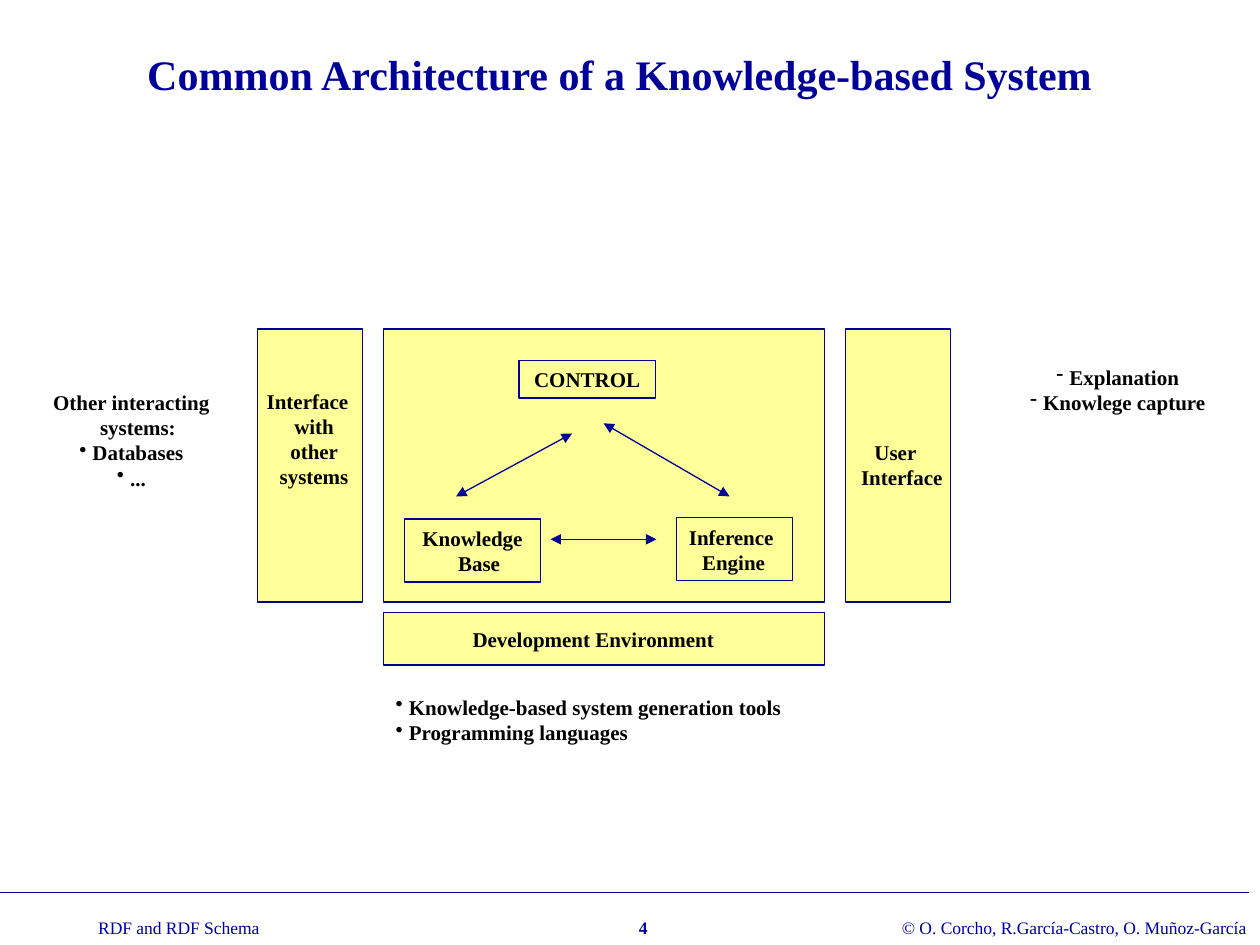
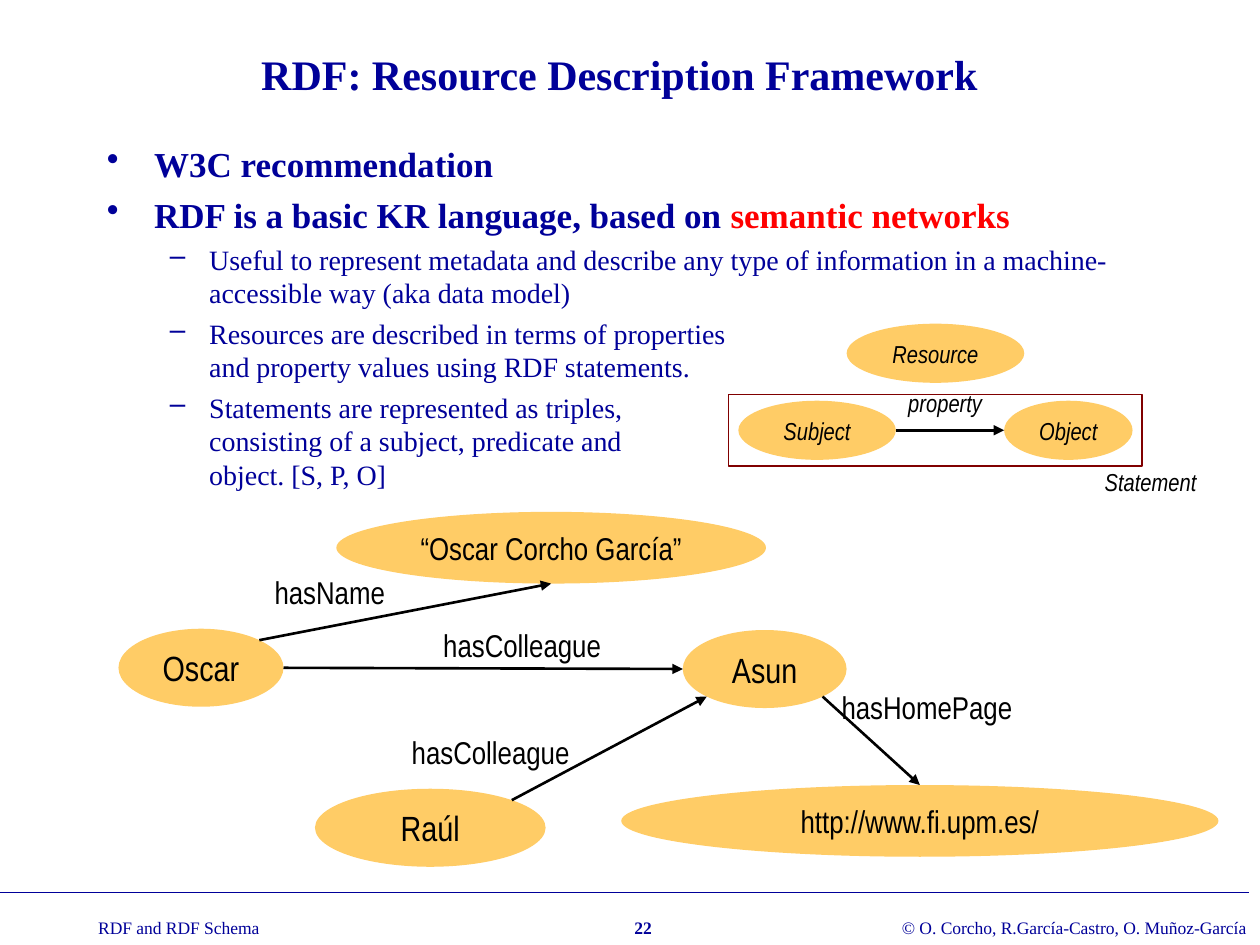
from dataclasses import dataclass

from lxml import etree
from pptx import Presentation
from pptx.dml.color import RGBColor
from pptx.enum import shapes, text
from pptx.oxml import ns
from pptx.util import Pt


@dataclass(frozen=True)
class Theme:
    navy: str = "000099"
    black: str = "000000"
    red: str = "FF0000"
    maroon: str = "800000"
    panel: str = "FFFF99"
    node: str = "FFCC66"
    serif: str = "Times New Roman"
    narrow: str = "Arial Narrow"
    title: int = 24
    footer: int = 10
    diagram: int = 12
    thin: float = 0.75
    rule: float = 1
    edge: float = 1.5


THEME = Theme()
LEFT, CENTER, JUSTIFY = (text.PP_ALIGN.LEFT, text.PP_ALIGN.CENTER,
                         text.PP_ALIGN.JUSTIFY)
TOP, MIDDLE = text.MSO_ANCHOR.TOP, text.MSO_ANCHOR.MIDDLE
RECT, OVAL = shapes.MSO_SHAPE.RECTANGLE, shapes.MSO_SHAPE.OVAL

# ---- Content: boxes are (left, top, width, height) in points ----
TITLE_BOX = (48, 12, 612, 60)
FOOTER_RULE = ((0, 510), (714, 510))
FOOTER_TOP, FOOTER_HEIGHT = 520.6, 19.4
TOPIC = "RDF and RDF Schema"
COPYRIGHT = "© O. Corcho, R.García-Castro, O. Muñoz-García"

ARCHITECTURE = {
    "title": "Common Architecture of a Knowledge-based System",
    "page": "4",
    "panels": [(147, 188, 60, 156), (219, 188, 252, 156),
               (483, 188, 60, 156), (219, 350, 252, 30)],
    "components": [
        ("CONTROL", (296.6, 205.9, 77.8, 21.6), CENTER),
        ("Knowledge Base", (231.1, 296.6, 77.8, 36), CENTER),
        ("Inference\nEngine", (386.6, 295.9, 66.2, 36), LEFT),
    ],
    # box, alignment, [(bullet, text)]
    "labels": [
        ((15, 219, 120.2, 64.8), CENTER,
         [(None, "Other interacting systems:"), ("•", "Databases"), ("•", "...")]),
        ((139, 218.2, 73.4, 64.8), CENTER, [(None, "Interface with other systems")]),
        ((219, 393.1, 257.8, 36), JUSTIFY,
         [("•", "Knowledge-based system generation tools"),
          ("•", "Programming languages")]),
        ((249.1, 354.2, 180, 21.6), CENTER, [(None, "Development Environment")]),
        ((472.3, 247.7, 78.5, 36), CENTER, [(None, "User Interface")]),
        ((545.8, 204.5, 185.8, 36), CENTER,
         [("-", "Explanation"), ("-", "Knowlege capture")]),
    ],
    "exchanges": [((314.6, 308.2), (375.1, 308.2)),
                  ((260.6, 283.7), (326.9, 247.7)),
                  ((344.9, 241.9), (416.9, 283.7))],
}

RDF = {
    "title": "RDF: Resource Description Framework",
    "page": "22",
    "outline_box": (54, 77.8, 612, 324),
    # level, [(text, colour)]
    "outline": [
        (0, [("W3C recommendation", THEME.navy)]),
        (0, [("RDF is a basic KR language, based on ", THEME.navy),
             ("semantic networks", THEME.red)]),
        (1, [("Useful to represent metadata and describe any type of information "
              "in a machine- accessible way (aka data model)", THEME.navy)]),
        (1, [("Resources are described in terms of properties\n"
              "and property values using RDF statements.", THEME.navy)]),
        (1, [("Statements are represented as triples,\n"
              "consisting of a subject, predicate and\n"
              "object. [S, P, O]", THEME.navy)]),
    ],
    # text: (box, size, italic)
    "nodes": {
        "Oscar": ((67.7, 359.3, 94.3, 44.6), 20, False),
        "Asun": ((390.2, 360, 93.6, 44.6), 20, False),
        "Raúl": ((180, 450.7, 131.8, 44.6), 20, False),
        "http://www.fi.upm.es/": ((355, 448.6, 341.3, 41), 18, False),
        "“Oscar Corcho García”": ((192.2, 292.5, 245.5, 41), 18, False),
        "Resource": ((483.8, 185, 101.5, 33.8), 14, True),
        "Subject": ((421.9, 229, 90, 33.8), 14, True),
        "Object": ((573.8, 229, 73.4, 33.8), 14, True),
    },
    "edges": [
        ("Oscar", "E", "Asun", "W"),
        ("Raúl", "NE", "Asun", "SW"),
        ("Asun", "SE", "http://www.fi.upm.es/", "N"),
        ("Oscar", "NE", "“Oscar Corcho García”", "S"),
        ("Subject", "E", "Object", "W"),
    ],
    "edge_labels": [
        ("hasColleague", (246.2, 354.2, 120.2, 28.8), 18, False),
        ("hasColleague", (228.2, 415.4, 120.2, 28.8), 18, False),
        ("hasHomePage", (473.8, 389.5, 120.2, 28.8), 18, False),
        ("hasName", (149.8, 324, 120.2, 28.8), 18, False),
        ("property", (511.9, 218.2, 78.5, 24.5), 14, True),
        ("Statement", (624.2, 263.5, 90, 24.5), 14, True),
    ],
    "statement_frame": (416.2, 225.4, 236.2, 41),
}

# bullet, indent, hanging, space before, size, bold
OUTLINE_LEVELS = [("•", 27, 27, 5, 20, True), ("–", 58.5, 22.5, 4, 16, False)]


def rgb(colour):
    return RGBColor.from_string(colour)


def in_points(numbers):
    return [Pt(n) for n in numbers]


def prepare_frame(shape, anchor=MIDDLE, wrap=True):
    frame = shape.text_frame
    frame.word_wrap = wrap
    frame.auto_size = text.MSO_AUTO_SIZE.NONE
    frame.vertical_anchor = anchor
    return frame


def next_paragraph(frame, index):
    return frame.paragraphs[0] if index == 0 else frame.add_paragraph()


def add_run(paragraph, words, size, colour, font=THEME.serif, bold=False, italic=False):
    """Add the words, turning each newline into a line break."""
    for number, line in enumerate(words.split("\n")):
        if number:
            paragraph.add_line_break()
        run = paragraph.add_run()
        run.text = line
        run.font.name, run.font.size = font, Pt(size)
        run.font.bold, run.font.italic = bold, italic
        run.font.color.rgb = rgb(colour)


def indent(paragraph, left, hanging, bullet=None, colour=THEME.black):
    props = paragraph._p.get_or_add_pPr()
    props.set("marL", str(Pt(left)))
    props.set("indent", str(-Pt(hanging)))
    if bullet:
        tint = etree.SubElement(props, ns.qn("a:buClr"))
        etree.SubElement(tint, ns.qn("a:srgbClr"), val=colour)
        etree.SubElement(props, ns.qn("a:buChar"), char=bullet)


def add_box(slide, kind, box, fill=None, line=None, width=THEME.thin):
    shape = slide.shapes.add_shape(kind, *in_points(box))
    shape.shadow.inherit = False
    if fill:
        shape.fill.solid()
        shape.fill.fore_color.rgb = rgb(fill)
    else:
        shape.fill.background()
    if line:
        shape.line.color.rgb = rgb(line)
        shape.line.width = Pt(width)
    else:
        shape.line.fill.background()
    return shape


def add_line(slide, start, end, colour, width, arrows=()):
    """Draw a line; arrows lists the ends with a head, headEnd before tailEnd."""
    line = slide.shapes.add_connector(shapes.MSO_CONNECTOR.STRAIGHT,
                                      *in_points((*start, *end)))
    line.line.color.rgb = rgb(colour)
    line.line.width = Pt(width)
    for arrow in arrows:
        etree.SubElement(line.line._get_or_add_ln(), ns.qn(f"a:{arrow}"), type="triangle")
    etree.SubElement(line._element.spPr, ns.qn("a:effectLst"))


def add_label(slide, box, words, size, colour, align=LEFT, wrap=True, **style):
    shape = slide.shapes.add_textbox(*in_points(box))
    paragraph = prepare_frame(shape, TOP, wrap).paragraphs[0]
    paragraph.alignment = align
    add_run(paragraph, words, size, colour, **style)


def fill_diagram_text(shape, items, align):
    frame = prepare_frame(shape)
    for index, (bullet, words) in enumerate(items):
        paragraph = next_paragraph(frame, index)
        indent(paragraph, 7.5, 7.5, bullet)
        paragraph.alignment = align
        add_run(paragraph, words, THEME.diagram, THEME.black, bold=True)


def start_slide(deck, content):
    """Add a slide with the shared title and footer."""
    slide = deck.slides.add_slide(deck.slide_layouts[5])
    add_line(slide, *FOOTER_RULE, THEME.navy, THEME.rule)
    for words, left, width, align, bold in [
        (COPYRIGHT, 508.3, 211.7, LEFT, False),
        (content["page"], 338, 59, CENTER, True),
        (TOPIC, 49, 106.6, LEFT, False),
    ]:
        add_label(slide, (left, FOOTER_TOP, width, FOOTER_HEIGHT), words,
                  THEME.footer, THEME.navy, align, wrap=False, bold=bold)
    title = slide.shapes.title
    title.left, title.top, title.width, title.height = in_points(TITLE_BOX)
    heading = prepare_frame(title).paragraphs[0]
    heading.alignment = CENTER
    add_run(heading, content["title"], THEME.title, THEME.navy, bold=True)
    return slide


def build_architecture(deck):
    slide = start_slide(deck, ARCHITECTURE)
    for box in ARCHITECTURE["panels"]:
        add_box(slide, RECT, box, THEME.panel, THEME.navy)
    for words, box, align in ARCHITECTURE["components"]:
        component = add_box(slide, RECT, box, line=THEME.navy)
        fill_diagram_text(component, [(None, words)], align)
    for start, end in ARCHITECTURE["exchanges"]:
        add_line(slide, start, end, THEME.navy, THEME.thin, ("headEnd", "tailEnd"))
    for box, align, items in ARCHITECTURE["labels"]:
        label = slide.shapes.add_textbox(*in_points(box))
        fill_diagram_text(label, items, align)


def rim_point(box, compass):
    """Return the point of an ellipse's outline in a compass direction."""
    left, top, width, height = box
    reach = 0.5 if len(compass) == 1 else 0.5 ** 1.5
    across = ("E" in compass) - ("W" in compass)
    down = ("S" in compass) - ("N" in compass)
    return left + width * (0.5 + across * reach), top + height * (0.5 + down * reach)


def add_outline(slide):
    frame = prepare_frame(slide.shapes.add_textbox(*in_points(RDF["outline_box"])), TOP)
    for index, (level, runs) in enumerate(RDF["outline"]):
        bullet, left, hanging, before, size, bold = OUTLINE_LEVELS[level]
        paragraph = next_paragraph(frame, index)
        indent(paragraph, left, hanging, bullet, THEME.navy)
        paragraph.level = level
        if index:
            paragraph.space_before = Pt(before)
        for words, colour in runs:
            add_run(paragraph, words, size, colour, bold=bold)


def build_rdf(deck):
    slide = start_slide(deck, RDF)
    add_outline(slide)
    nodes = RDF["nodes"]
    for words, (box, size, italic) in nodes.items():
        node = add_box(slide, OVAL, box, THEME.node)
        paragraph = prepare_frame(node).paragraphs[0]
        paragraph.alignment = CENTER
        add_run(paragraph, words, size, THEME.black, THEME.narrow, italic=italic)
    for source, leave, target, arrive in RDF["edges"]:
        add_line(slide, rim_point(nodes[source][0], leave),
                 rim_point(nodes[target][0], arrive),
                 THEME.black, THEME.edge, ("tailEnd",))
    for words, box, size, italic in RDF["edge_labels"]:
        add_label(slide, box, words, size, THEME.black, font=THEME.narrow, italic=italic)
    add_box(slide, RECT, RDF["statement_frame"], line=THEME.maroon, width=THEME.rule)


def main():
    deck = Presentation()
    deck.slide_width, deck.slide_height = Pt(720), Pt(540)
    build_architecture(deck)
    build_rdf(deck)
    deck.save("out.pptx")


if __name__ == "__main__":
    main()
